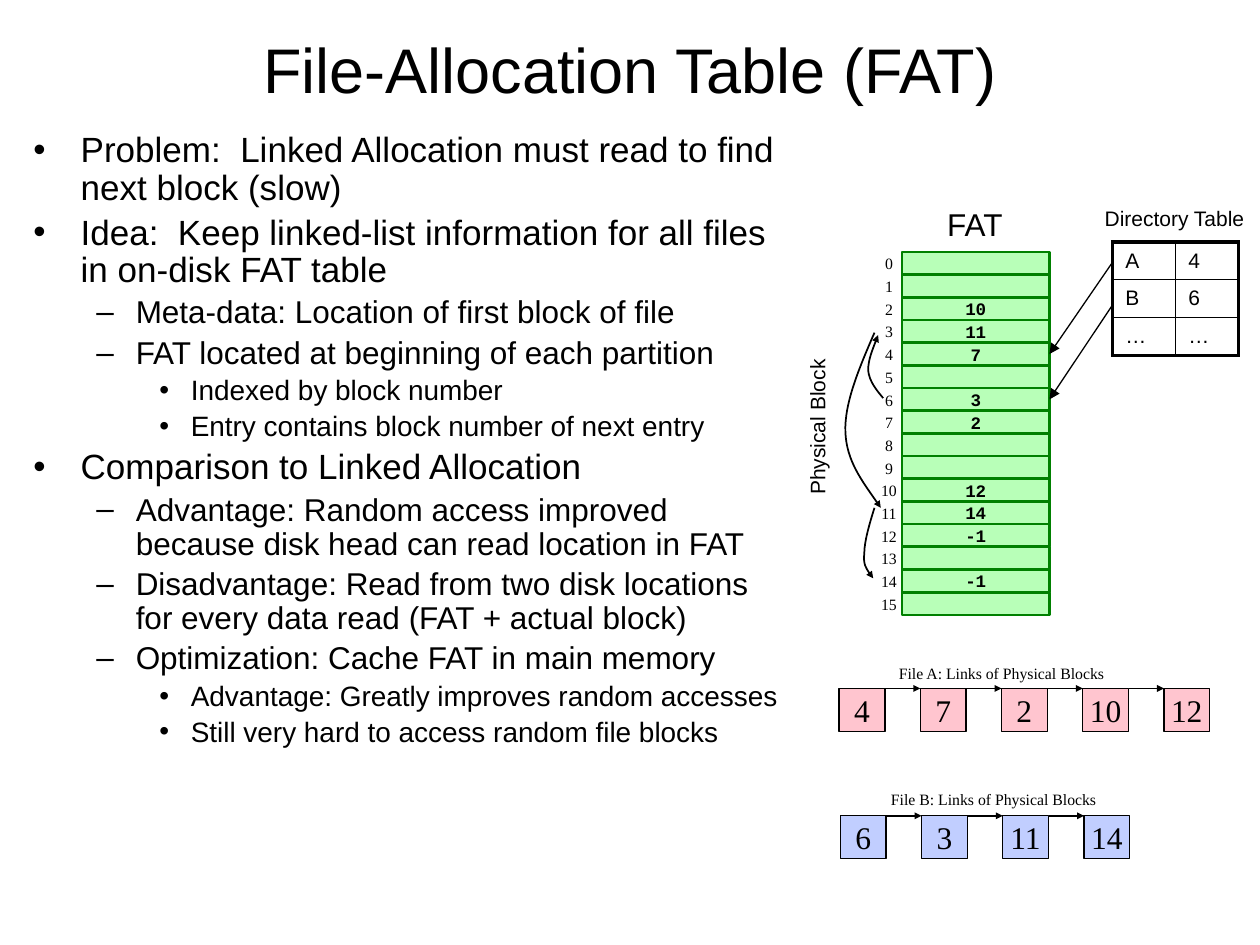
from lxml.etree import SubElement
from pptx import Presentation
from pptx.dml.color import RGBColor
from pptx.enum.shapes import MSO_CONNECTOR as Connector, MSO_SHAPE as Shape
from pptx.enum.text import MSO_ANCHOR as Anchor, PP_ALIGN as Align
from pptx.oxml.ns import qn
from pptx.util import Pt

COLORS = {"ink": "000000", "fat": "66FF66", "fat_line": "008000",
          "file_a": "FFC5CF", "file_b": "C1CEFF"}
TITLE = "File-Allocation Table (FAT)"
POINTS = [
    (0, "Problem:  Linked Allocation must read to find next block (slow)"),
    (0, "Idea:  Keep linked-list information for all files in on-disk FAT table"),
    (1, "Meta-data: Location of first block of file"),
    (1, "FAT located at beginning of each partition"),
    (2, "Indexed by block number"),
    (2, "Entry contains block number of next entry"),
    (0, "Comparison to Linked Allocation"),
    (1, "Advantage: Random access improved because disk head can read location in FAT"),
    (1, "Disadvantage: Read from two disk locations for every data read (FAT + actual block)"),
    (1, "Optimization: Cache FAT in main memory"),
    (2, "Advantage: Greatly improves random accesses"),
    (2, "Still very hard to access random file blocks"),
]
LEVELS = [
    {"size": 20, "indent": 27, "hang": 27, "bullet": "•"},
    {"size": 18, "indent": 58.5, "hang": 22.5, "bullet": "–"},
    {"size": 16, "indent": 90, "hang": 18, "bullet": "•"},
]
FAT = ["", "", "10", "11", "7", "", "3", "2", "", "", "12", "14", "-1", "", "-1", ""]
DIRECTORY = [("A", "4"), ("B", "6"), ("…", "…")]
ENTRY_ARROWS = [(149.8, 4), (174.2, 6)]
FILES = [
    ("File A: Links of Physical Blocks", (506, 375.6), "file_a", (479.5, 393.4),
     ["4", "7", "2", "10", "12"]),
    ("File B: Links of Physical Blocks", (501.5, 447.6), "file_b", (480.2, 466.2),
     ["6", "3", "11", "14"]),
]
CURVES = [
    [(499.7, 190.1), (491, 210.2), (482.4, 230.4), (483.1, 247),
     (483.8, 263.5), (493.9, 276.5), (503.3, 290.2)],
    [(504.7, 227.5), (501.1, 223.2), (496.8, 218.2), (496.1, 211.7),
     (496.1, 205.9), (499, 198.7), (501.8, 191.5)],
    [(499.7, 290.2), (496.8, 299.5), (493.9, 309.6), (493.9, 316.1),
     (493.2, 322.6), (496.1, 326.9), (499, 330.5)],
]
LABELS = [
    ("Directory Table", (624.2, 113.8, 95.8, 21.6), 12, 0),
    ("Physical Block", (416.9, 229, 100, 21.6), 12, 270),
    ("FAT", (534.2, 113.8, 48.2, 28.8), 18, 0),
]
FAT_LEFT, FAT_TOP, FAT_WIDTH, ROW = 515.5, 144, 84.2, 12.96
BLOCK_WIDTH, BLOCK_HEIGHT, BLOCK_STEP = 26.2, 24.5, 46.4
TABLE_LEFT, TABLE_TOP, CELL_WIDTH, CELL_HEIGHT = 635.8, 138.2, 36, 21.6


def color(name):
    return RGBColor.from_string(COLORS[name])


def write(paragraph, text, size, font="Arial", bold=False, align=Align.LEFT):
    paragraph.alignment = align
    run = paragraph.add_run()
    run.text = text
    formats = {"size": Pt(size), "name": font, "bold": bold}
    for name, value in formats.items():
        setattr(run.font, name, value)
    run.font.color.rgb = color("ink")


def add_label(slide, text, box, size, font="Arial", align=Align.LEFT, anchor=Anchor.TOP):
    label = slide.shapes.add_textbox(*map(Pt, box))
    label.text_frame.word_wrap = False
    label.text_frame.vertical_anchor = anchor
    write(label.text_frame.paragraphs[0], text, size, font, align=align)
    return label


def add_box(slide, text, box, fill, line, width, size, font, bold=False):
    shape = slide.shapes.add_shape(Shape.RECTANGLE, *map(Pt, box))
    shape.shadow.inherit = False
    shape.fill.solid()
    shape.fill.fore_color.rgb = color(fill)
    shape.line.color.rgb = color(line)
    shape.line.width = Pt(width)
    shape.text_frame.word_wrap = False
    shape.text_frame.vertical_anchor = Anchor.MIDDLE
    if text:
        write(shape.text_frame.paragraphs[0], text, size, font, bold, Align.CENTER)
    return shape


def style_arrow(shape, width, head):
    shape.line.color.rgb = color("ink")
    shape.line.width = Pt(width)
    SubElement(shape.line._get_or_add_ln(), qn("a:tailEnd"),
               type="triangle", w=head, len=head)


def add_arrow(slide, start, end, width, head):
    arrow = slide.shapes.add_connector(Connector.STRAIGHT, *map(Pt, start + end))
    style_arrow(arrow, width, head)
    SubElement(arrow._element.spPr, qn("a:effectLst"))
    return arrow


def add_curve(slide, points):
    start, *rest = [(Pt(x), Pt(y)) for x, y in points]
    builder = slide.shapes.build_freeform(*start)
    builder.add_line_segments(rest, close=False)
    curve = builder.convert_to_shape()
    curve.shadow.inherit = False
    curve.fill.background()
    style_arrow(curve, 1, "sm")
    segments = list(curve._element.iter(qn("a:lnTo")))
    outline = segments[0].getparent()
    for first in range(0, len(segments), 3):
        bezier = SubElement(outline, qn("a:cubicBezTo"))
        for segment in segments[first:first + 3]:
            bezier.append(segment[0])
            outline.remove(segment)


def add_points(slide):
    body = slide.shapes.add_textbox(*map(Pt, (12, 72, 444, 450)))
    frame = body.text_frame
    frame.word_wrap = True
    for index, (level, text) in enumerate(POINTS):
        style = LEVELS[level]
        paragraph = frame.add_paragraph() if index else frame.paragraphs[0]
        write(paragraph, text, style["size"])
        formats = {"level": level, "line_spacing": 0.9,
                   "space_before": Pt(round(0.2 * style["size"], 1))}
        for name, value in formats.items():
            setattr(paragraph, name, value)
        properties = paragraph._p.get_or_add_pPr()
        properties.set("marL", str(Pt(style["indent"])))
        properties.set("indent", str(-Pt(style["hang"])))
        SubElement(properties, qn("a:buFont"), typeface="Arial")
        SubElement(properties, qn("a:buChar"), char=style["bullet"])


def add_fat(slide):
    rows = []
    for index, value in enumerate(FAT):
        top = FAT_TOP + index * ROW
        row = add_box(slide, value, (FAT_LEFT, top, FAT_WIDTH, ROW),
                      "fat", "fat_line", 1.5, 10, "Courier New", True)
        fill = row.fill._xPr.find(qn("a:solidFill"))
        SubElement(fill[0], qn("a:alpha"), val="46000")
        add_label(slide, str(index), (496.1, top - 2.4, 23.8, 18), 9,
                  "Times New Roman", Align.CENTER, Anchor.BOTTOM)
        rows.append(row)
    return rows


def add_file(slide, caption, corner, fill, start, blocks):
    add_label(slide, caption, (*corner, 132.5, 18), 9, "Times New Roman",
              Align.CENTER, Anchor.BOTTOM)
    left, top = start
    for index, block in enumerate(blocks):
        x = left + index * BLOCK_STEP
        add_box(slide, block, (x, top, BLOCK_WIDTH, BLOCK_HEIGHT),
                fill, "ink", 0.75, 18, "Times New Roman")
        if index:
            add_arrow(slide, (x - BLOCK_STEP + BLOCK_WIDTH, top), (x, top), 1, "sm")


def add_directory(slide):
    rows, columns = len(DIRECTORY), len(DIRECTORY[0])
    box = (TABLE_LEFT, TABLE_TOP, columns * CELL_WIDTH, rows * CELL_HEIGHT)
    table = slide.shapes.add_table(rows, columns, *map(Pt, box)).table
    for r, values in enumerate(DIRECTORY):
        for c, value in enumerate(values):
            cell = table.cell(r, c)
            cell.vertical_anchor = Anchor.MIDDLE
            write(cell.text_frame.paragraphs[0], value, 12)
            outer = {"a:lnL": c == 0, "a:lnR": c == columns - 1,
                     "a:lnT": r == 0, "a:lnB": r == rows - 1}
            properties = cell._tc.get_or_add_tcPr()
            for tag, thick in outer.items():
                border = SubElement(properties, qn(tag), w=str(Pt(2.25 if thick else 1)))
                fill = SubElement(border, qn("a:solidFill"))
                SubElement(fill, qn("a:srgbClr"), val=COLORS["ink"])
            cell.fill.background()


def main():
    presentation = Presentation()
    presentation.slide_width, presentation.slide_height = Pt(720), Pt(540)
    slide = presentation.slides.add_slide(presentation.slide_layouts[5])
    title = slide.shapes.title
    title.left, title.top, title.width, title.height = map(Pt, (36, 12, 648, 54))
    title.text_frame.vertical_anchor = Anchor.MIDDLE
    write(title.text_frame.paragraphs[0], TITLE, 36, align=Align.CENTER)
    add_points(slide)
    rows = add_fat(slide)
    for file in FILES:
        add_file(slide, *file)
    for points in CURVES:
        add_curve(slide, points)
    add_directory(slide)
    for y, index in ENTRY_ARROWS:
        end = (FAT_LEFT + FAT_WIDTH, FAT_TOP + (index + 0.5) * ROW)
        arrow = add_arrow(slide, (TABLE_LEFT, y), end, 0.75, "med")
        arrow.end_connect(rows[index], 3)
    for text, box, size, rotation in LABELS:
        add_label(slide, text, box, size).rotation = rotation
    presentation.save("out.pptx")


if __name__ == "__main__":
    main()
